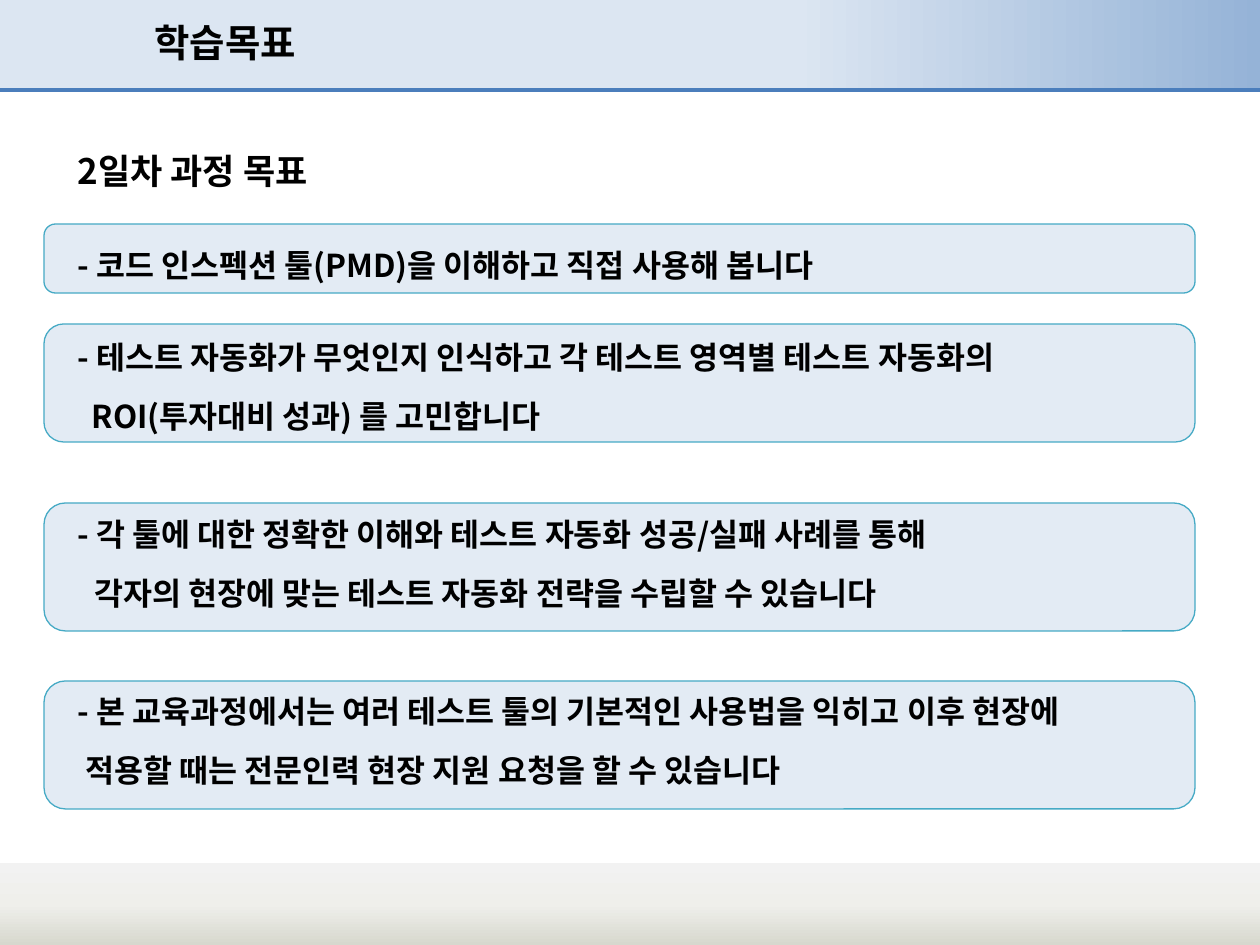
"""Build the learning-objectives slide."""
from dataclasses import dataclass

from lxml import etree
from pptx import Presentation
from pptx.dml.color import RGBColor
from pptx.enum.shapes import MSO_CONNECTOR, MSO_SHAPE
from pptx.enum.text import MSO_ANCHOR, MSO_AUTO_SIZE, PP_ALIGN
from pptx.oxml.ns import qn
from pptx.util import Pt

RECT, ROUNDED = MSO_SHAPE.RECTANGLE, MSO_SHAPE.ROUNDED_RECTANGLE
STRAIGHT = MSO_CONNECTOR.STRAIGHT
TOP, MIDDLE = MSO_ANCHOR.TOP, MSO_ANCHOR.MIDDLE
LEFT, NO_AUTOFIT = PP_ALIGN.LEFT, MSO_AUTO_SIZE.NONE
EMU_PER_PX = 914400 / 126


@dataclass(frozen=True)
class Theme:
    """Colours, type sizes and spacing used on the slide."""

    font: str = "Noto Sans CJK KR"
    ink: str = "000000"
    rule: str = "4B7EBC"
    card: str = "B9CDE5"
    card_opacity: int = 40
    card_edge: str = "46AAC5"
    header: tuple = ((0, "DCE6F2"), (63, "DCE6F2"), (100, "95B3D7"))
    footer: tuple = ((0, "F2F2F2"), (50, "EFEFEB"), (100, "D7D8CE"))
    title_size: int = 22
    heading_size: int = 20
    goal_size: int = 18
    line_spacing: float = 1.4
    near_gap: float = 3.2
    goal_gap: float = 22.6
    wide_gap: float = 37.5


def px(length):
    """Turn pixels into EMU."""
    return round(length * EMU_PER_PX)


def add_child(parent, tag, **attributes):
    """Append a drawing element with the given attributes."""
    return etree.SubElement(parent, qn(tag), {k: str(v) for k, v in attributes.items()})


class SlideBuilder:
    """Draw themed elements on the current slide."""

    def __init__(self, slide, theme):
        """Keep the slide and its theme."""
        self.slide, self.theme = slide, theme

    def panel(self, preset, box):
        """Add a plain preset shape without a shadow."""
        panel = self.slide.shapes.add_shape(preset, *map(px, box))
        panel.shadow.inherit = False
        return panel

    def band(self, box, stops, angle):
        """Add a borderless band with a linear gradient."""
        band = self.panel(RECT, box)
        band.line.fill.background()
        band.fill.gradient()
        gradient = band.fill._xPr.find(qn("a:gradFill"))
        for child in list(gradient):
            gradient.remove(child)
        stop_list = add_child(gradient, "a:gsLst")
        for position, color in stops:
            stop = add_child(stop_list, "a:gs", pos=position * 1000)
            add_child(stop, "a:srgbClr", val=color)
        add_child(gradient, "a:lin", ang=angle * 60000, scaled=0)

    def rule(self, y, width):
        """Add a horizontal rule across the slide."""
        rule = self.slide.shapes.add_connector(STRAIGHT, 0, px(y), px(width), px(y))
        rule.line.color.rgb = RGBColor.from_string(self.theme.rule)
        rule.line.width = Pt(2)
        add_child(rule._element.spPr, "a:effectLst")

    def card(self, box):
        """Add a translucent rounded card."""
        card = self.panel(ROUNDED, box)
        card.fill.solid()
        card.fill.fore_color.rgb = RGBColor.from_string(self.theme.card)
        color = card.fill._xPr.find(qn("a:solidFill"))[0]
        add_child(color, "a:alpha", val=self.theme.card_opacity * 1000)
        card.line.color.rgb = RGBColor.from_string(self.theme.card_edge)
        card.line.width = Pt(0.75)

    def place(self, placeholder, box, anchor):
        """Move a placeholder to its box, in front of the other shapes."""
        placeholder.left, placeholder.top, placeholder.width, placeholder.height = map(px, box)
        self.slide.shapes._spTree.append(placeholder._element)
        frame = placeholder.text_frame
        frame.word_wrap = True
        frame.auto_size = NO_AUTOFIT
        frame.vertical_anchor = anchor
        return frame

    def style(self, paragraph, size):
        """Format a paragraph and its runs, without pair kerning."""
        paragraph.alignment = LEFT
        for run in paragraph.runs:
            run.font.size = Pt(size)
            run.font.bold = True
            run.font.name = self.theme.font
            run.font.color.rgb = RGBColor.from_string(self.theme.ink)
            run.font._element.set("kern", "0")
            add_child(run.font._element, "a:ea", typeface=self.theme.font)

    def title(self, text, box):
        """Fill the title placeholder."""
        frame = self.place(self.slide.shapes.title, box, MIDDLE)
        frame.text = text
        self.style(frame.paragraphs[0], self.theme.title_size)

    def goals(self, lines, box):
        """Fill the body with (text, size, space before, indent) lines."""
        frame = self.place(self.slide.placeholders[1], box, TOP)
        frame.text = "\n".join(line[0] for line in lines)
        for paragraph, (_, size, gap, indent) in zip(frame.paragraphs, lines):
            properties = paragraph._p.get_or_add_pPr()
            properties.set("marL", str(px(indent)))
            properties.set("indent", "0")
            add_child(properties, "a:buNone")
            paragraph.line_spacing = self.theme.line_spacing
            paragraph.space_before = Pt(gap)
            self.style(paragraph, size)


def main():
    """Build and save the slide."""
    deck = Presentation()
    deck.slide_width, deck.slide_height = px(1260), px(945)
    theme = Theme()
    builder = SlideBuilder(deck.slides.add_slide(deck.slide_layouts[1]), theme)

    builder.band((0, -1, 1260, 92), theme.header, 0)
    builder.band((0, 863, 1260, 82), theme.footer, 90)
    builder.rule(90, 1260)
    for top, height in ((224, 69), (324, 118), (503, 128), (681, 128)):
        builder.card((44, top, 1151, height))

    builder.title("학습목표", (142, 6, 745, 72))
    size, near, gap, wide = theme.goal_size, theme.near_gap, theme.goal_gap, theme.wide_gap
    builder.goals(
        (
            ("2일차 과정 목표", theme.heading_size, 0, 0),
            ("- 코드 인스펙션 툴(PMD)을 이해하고 직접 사용해 봅니다", size, gap, 0),
            ("- 테스트 자동화가 무엇인지 인식하고 각 테스트 영역별 테스트 자동화의", size, gap, 0),
            ("ROI(투자대비 성과) 를 고민합니다", size, near, 14),
            ("- 각 툴에 대한 정확한 이해와 테스트 자동화 성공/실패 사례를 통해", size, wide, 0),
            ("각자의 현장에 맞는 테스트 자동화 전략을 수립할 수 있습니다", size, near, 17),
            ("- 본 교육과정에서는 여러 테스트 툴의 기본적인 사용법을 익히고 이후 현장에", size, wide, 0),
            ("적용할 때는 전문인력 현장 지원 요청을 할 수 있습니다", size, near, 8),
        ),
        (65, 126, 1160, 724),
    )
    deck.save("out.pptx")


if __name__ == "__main__":
    main()
